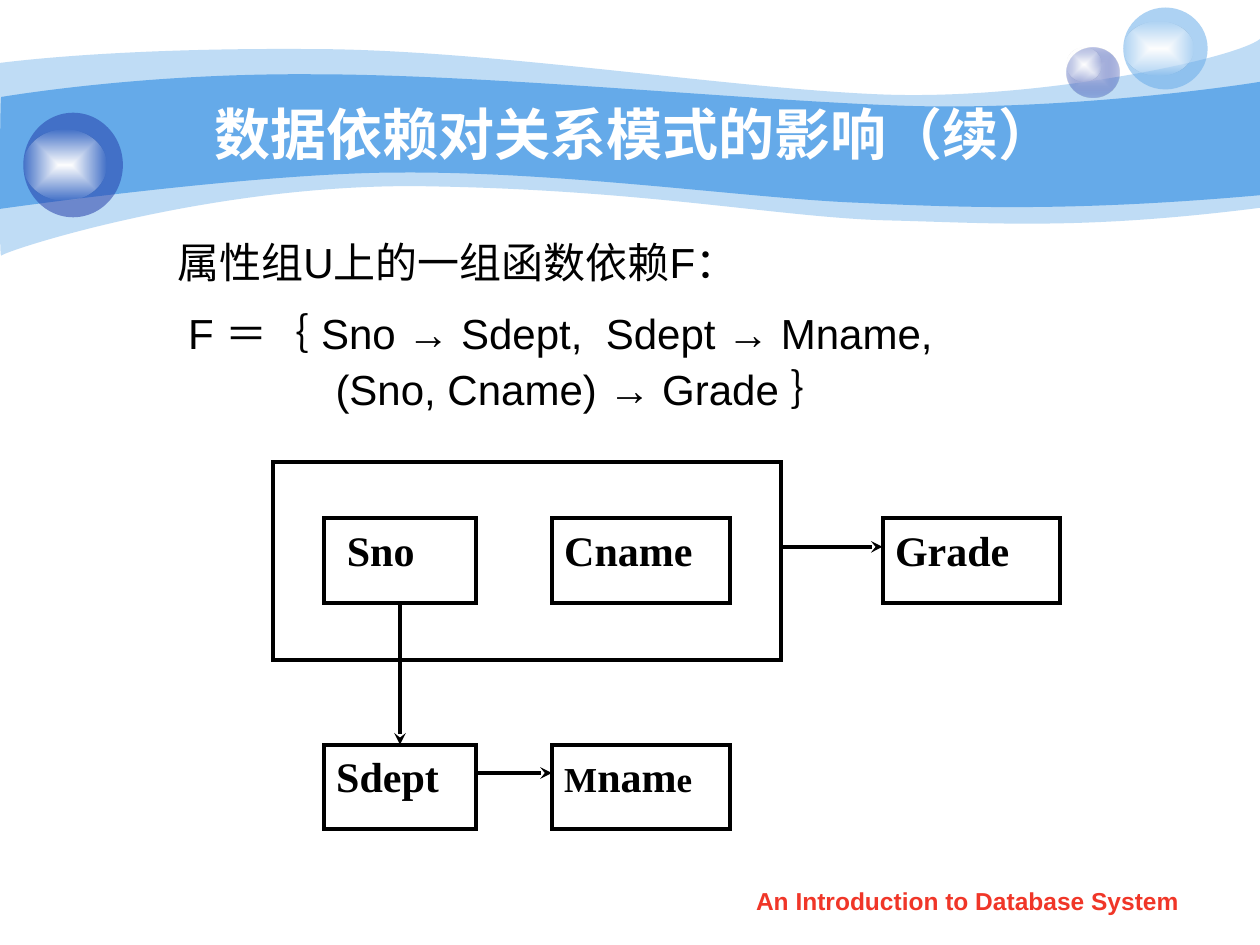
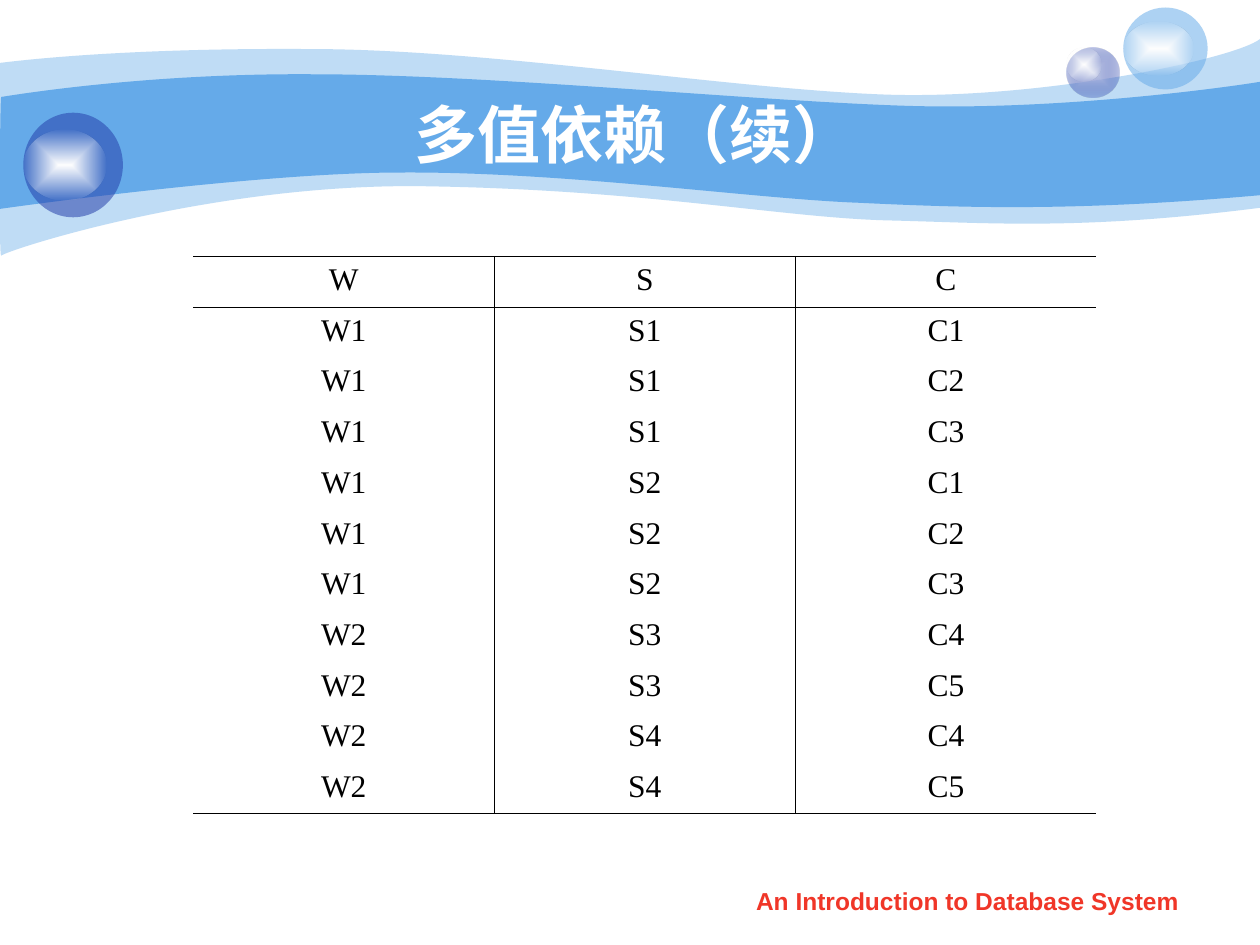
from dataclasses import dataclass
from typing import NamedTuple

from lxml.etree import SubElement
from pptx import Presentation
from pptx.dml.color import RGBColor
from pptx.enum.shapes import MSO_CONNECTOR as Connector, MSO_SHAPE as Preset
from pptx.enum.text import MSO_ANCHOR as Anchor, MSO_AUTO_SIZE as AutoSize, PP_ALIGN as Align
from pptx.oxml import parse_xml
from pptx.oxml.ns import nsdecls, qn
from pptx.util import Emu, Inches, Pt


# Theme and grid: the slide is 100 columns by 75 rows of square cells
@dataclass(frozen=True)
class Theme:
    sky: str = "65AAE9"
    navy: str = "233DA9"
    lilac: str = "C7CEE9"
    white: str = "FFFFFF"
    ink: str = "000000"
    red: str = "F03628"
    sans: str = "Arial"
    serif: str = "Times New Roman"
    body_size: float = 24
    small_size: float = 20
    table_size: float = 18
    footer_size: float = 14
    diagram_line: float = 2.25
    table_line: float = 0.45


THEME = Theme()
COLUMNS, ROWS = 100, 75
CELL = Inches(0.1)
FOOTER = "An Introduction to Database System"


class Place(NamedTuple):
    left: float
    top: float
    width: float
    height: float


class Stop(NamedTuple):
    position: int
    color: str
    alpha: int = 100


@dataclass(frozen=True)
class Disc:
    place: Place
    stops: tuple[Stop, ...]


@dataclass(frozen=True)
class Wave:
    start: tuple[float, float]
    segments: tuple[tuple[float, ...], ...]  # one point is a line, three are a curve
    stop: Stop


@dataclass(frozen=True)
class Box:
    place: Place
    pieces: tuple[tuple[str, float], ...] = ()
    indent: float = 0


@dataclass(frozen=True)
class Line:
    pieces: tuple[str, ...]
    indent: float
    before: float = 0
    spacing: float = 1


# Shared background
GLOW = (Stop(0, THEME.white), Stop(100, THEME.white, 0))
WAVES = (
    Wave((0, 5), (
        (2.4, 4.7, 10.7, 3.8, 24.7, 3.9), (38.6, 3.9, 57.5, 7, 69.9, 7.5),
        (82.2, 8, 98, 4.7, 100, 3.1), (100, 16.5),
        (85.8, 18.3, 78.7, 17.7, 70.5, 17.5), (62.2, 17.3, 51.5, 15.1, 34.3, 14.8),
        (17.2, 14.4, 0.4, 19.9, 0.1, 20.3), (-0.1, 20.8, 0, 7.5, 0, 5),
    ), Stop(0, THEME.sky, 41)),
    Wave((0.1, 7.7), (
        (0.2, 7.7, 11, 5.8, 24.8, 5.9), (38.6, 5.9, 59.5, 8, 71.8, 8.4),
        (84.1, 8.8, 97.6, 6.9, 100, 6.5), (100, 15.5),
        (85.3, 16.8, 76.5, 16.5, 68.2, 16.1), (59.9, 15.8, 44.7, 13.6, 31.7, 13.7),
        (20.3, 13.7, -0.2, 16.6, -0.1, 16.6), (0, 16.6, 0, 7.7, 0.1, 7.7),
    ), Stop(0, THEME.sky)),
)
DISCS = (
    Disc(Place(84.65, 3.75, 4.2, 4), (Stop(0, THEME.lilac), Stop(100, THEME.navy, 31))),
    Disc(Place(84.65, 3.75, 2.8, 2.7), GLOW),
    Disc(Place(89.15, 0.6, 6.7, 6.5), (Stop(0, THEME.sky, 53),)),
    Disc(Place(89.15, 1.7, 5.6, 4.3), GLOW),
    Disc(Place(1.85, 8.95, 7.9, 8.3), (Stop(0, THEME.navy, 53),)),
    Disc(Place(1.85, 10.3, 6.6, 5.6), GLOW),
)
TITLE_PLACE = Place(10, 7.5, 80.8, 6.2)
FOOTER_PLACE = Place(57.1, 69.8, 39.4, 3.5)

# Dependency slide
FORMULA_PLACE = Place(10.8, 18.3, 85, 45)
WIDE_SPACE = " "
WIDE_SPACE_EXTRA = 667  # hundredths of a point
FORMULA = (
    Line(("属性组U上的一组函数依赖F：",), 2.3),
    Line(("F ＝｛ Sno → Sdept,", WIDE_SPACE, "Sdept → Mname,"), 3.15, 6, 1.2),
    Line(("(Sno, Cname) → Grade ｝",), 14.85, 3),
)
KEY_COLUMN, NAME_COLUMN, GRADE_COLUMN = (25.7, 12.1), (43.8, 14.15), (70.05, 14.1)
UPPER_ROW, LOWER_ROW, BOX_HEIGHT = 41.15, 59.1, 6.7
FRAME = Place(21.7, 36.7, 40.3, 15.7)
PORT = 2.25  # arrows leave this far below the top of a box


def box(column: tuple[float, float], row: float, *pieces: tuple[str, float],
        indent: float = 0) -> Box:
    return Box(Place(column[0], row, column[1], BOX_HEIGHT), pieces, indent)


BOXES = (
    Box(FRAME),
    box(KEY_COLUMN, UPPER_ROW, ("Sno", THEME.body_size), indent=0.83),
    box(NAME_COLUMN, UPPER_ROW, ("Cname", THEME.body_size)),
    box(KEY_COLUMN, LOWER_ROW, ("Sdept", THEME.body_size)),
    box(NAME_COLUMN, LOWER_ROW, ("M", THEME.small_size), ("nam", THEME.body_size),
        ("e", THEME.small_size)),
    box(GRADE_COLUMN, UPPER_ROW, ("Grade", THEME.body_size)),
)
KEY_CENTER = KEY_COLUMN[0] + KEY_COLUMN[1] / 2
ARROWS = (
    (KEY_CENTER, UPPER_ROW + BOX_HEIGHT, KEY_CENTER, LOWER_ROW),
    (sum(KEY_COLUMN), LOWER_ROW + PORT, NAME_COLUMN[0], LOWER_ROW + PORT),
    (FRAME.left + FRAME.width, UPPER_ROW + PORT, GRADE_COLUMN[0], UPPER_ROW + PORT),
)

# Multivalued slide: each W takes every pairing of its S and C values
TABLE_PLACE = Place(15.33, 20.33, 71.7, 44.3)
HEADER = ("W", "S", "C")
GROUPS = (("W1", ("S1", "S2"), ("C1", "C2", "C3")), ("W2", ("S3", "S4"), ("C4", "C5")))


# Helpers
def cells(*lengths: float) -> tuple[Emu, ...]:
    return tuple(Emu(round(length * CELL)) for length in lengths)


def set_font(paragraph, name: str, size: float, color: str, bold: bool = False) -> None:
    font = paragraph.font
    font.name, font.size, font.bold = name, Pt(size), bold
    font.color.rgb = RGBColor.from_string(color)
    properties = paragraph._p.find(".//" + qn("a:defRPr"))
    SubElement(properties, qn("a:ea")).set("typeface", name)


def paint(shape, stops: tuple[Stop, ...]) -> None:
    """Fill with one translucent colour, or a gradient from the centre outwards."""
    colors = [f'<a:srgbClr val="{stop.color}"><a:alpha val="{stop.alpha * 1000}"/></a:srgbClr>'
              for stop in stops]
    if len(stops) == 1:
        xml = f'<a:solidFill {nsdecls("a")}>{colors[0]}</a:solidFill>'
    else:
        marks = "".join(f'<a:gs pos="{stop.position * 1000}">{color}</a:gs>'
                        for stop, color in zip(stops, colors))
        xml = (f'<a:gradFill {nsdecls("a")} rotWithShape="1"><a:gsLst>{marks}</a:gsLst>'
               '<a:path path="rect"><a:fillToRect l="50000" t="50000" r="50000" b="50000"/>'
               '</a:path></a:gradFill>')
    shape.fill.background()
    properties = shape.element.spPr
    properties.replace(properties.find(qn("a:noFill")), parse_xml(xml))
    shape.line.fill.background()
    shape.shadow.inherit = False


def add_wave(slide, wave: Wave):
    """Lay out every control point, then join each three into one curve."""
    points = [cells(*segment[index:index + 2])
              for segment in wave.segments for index in range(0, len(segment), 2)]
    builder = slide.shapes.build_freeform(*cells(*wave.start))
    builder.add_line_segments(points, close=True)
    shape = builder.convert_to_shape()
    lines = iter(list(shape.element.iter(qn("a:lnTo"))))
    for segment in wave.segments:
        first, *others = [next(lines) for _ in range(len(segment) // 2)]
        if others:
            first.tag = qn("a:cubicBezTo")
            for line in others:
                first.append(line[0])
                line.getparent().remove(line)
    paint(shape, (wave.stop,))
    return shape


def add_disc(slide, disc: Disc):
    shape = slide.shapes.add_shape(Preset.OVAL, *cells(*disc.place))
    paint(shape, disc.stops)
    return shape


def add_background(slide, layout) -> None:
    """Draw the waves and discs, then move them to the back of the layout."""
    drawn = [add_wave(slide, wave) for wave in WAVES] + [add_disc(slide, disc) for disc in DISCS]
    for index, shape in enumerate(drawn, start=2):
        layout.shapes.element.insert(index, shape.element)


def add_title_and_footer(slide, text: str, size: float) -> None:
    title = slide.shapes.title
    title.left, title.top, title.width, title.height = cells(*TITLE_PLACE)
    frame = title.text_frame
    frame.text, frame.auto_size, frame.vertical_anchor = text, AutoSize.NONE, Anchor.MIDDLE
    frame.paragraphs[0].alignment = Align.CENTER
    set_font(frame.paragraphs[0], THEME.sans, size, THEME.white, bold=True)

    footer = slide.shapes.add_textbox(*cells(*FOOTER_PLACE)).text_frame
    footer.word_wrap, footer.text = True, FOOTER
    footer.paragraphs[0].alignment = Align.CENTER
    set_font(footer.paragraphs[0], THEME.sans, THEME.footer_size, THEME.red, bold=True)


def add_formula(slide) -> None:
    frame = slide.shapes.add_textbox(*cells(*FORMULA_PLACE)).text_frame
    frame.word_wrap = True
    for index, line in enumerate(FORMULA):
        paragraph = frame.add_paragraph() if index else frame.paragraphs[0]
        paragraph.space_before, paragraph.line_spacing = Pt(line.before), line.spacing
        set_font(paragraph, THEME.sans, THEME.body_size, THEME.ink)
        paragraph._p.pPr.set("marL", str(cells(line.indent)[0]))
        for piece in line.pieces:
            run = paragraph.add_run()
            run.text = piece
            if piece == WIDE_SPACE:
                run._r.get_or_add_rPr().set("spc", str(WIDE_SPACE_EXTRA))


def style_line(line) -> None:
    line.color.rgb = RGBColor.from_string(THEME.ink)
    line.width = Pt(THEME.diagram_line)
    SubElement(line._get_or_add_ln(), qn("a:miter")).set("lim", "800000")


def add_box(slide, item: Box) -> None:
    shape = slide.shapes.add_shape(Preset.RECTANGLE, *cells(*item.place))
    shape.shadow.inherit = False
    shape.fill.background()
    style_line(shape.line)
    frame = shape.text_frame
    frame.vertical_anchor = Anchor.TOP
    frame.margin_left = cells(1 + item.indent)[0]
    paragraph = frame.paragraphs[0]
    paragraph.alignment = Align.JUSTIFY
    set_font(paragraph, THEME.serif, THEME.body_size, THEME.ink, bold=True)
    for text, size in item.pieces:
        run = paragraph.add_run()
        run.text = text
        if size != THEME.body_size:
            run.font.size = Pt(size)


def add_arrow(slide, ends: tuple[float, ...]) -> None:
    arrow = slide.shapes.add_connector(Connector.STRAIGHT, *cells(*ends))
    style_line(arrow.line)
    SubElement(arrow.line._get_or_add_ln(), qn("a:tailEnd")).set("type", "stealth")
    SubElement(arrow.element.spPr, qn("a:effectLst"))


def set_borders(cell, sides: str) -> None:
    properties = cell._tc.get_or_add_tcPr()
    for index, side in enumerate("LRTB"):
        fill = (f'<a:solidFill><a:srgbClr val="{THEME.ink}"/></a:solidFill>'
                if side in sides else "<a:noFill/>")
        properties.insert(index, parse_xml(
            f'<a:ln{side} {nsdecls("a")} w="{Pt(THEME.table_line)}">{fill}</a:ln{side}>'))


def add_value_table(slide) -> None:
    rows = [HEADER] + [(w, s, c) for w, s_values, c_values in GROUPS
                       for s in s_values for c in c_values]
    table = slide.shapes.add_table(len(rows), len(HEADER), *cells(*TABLE_PLACE)).table
    table.first_row = table.horz_banding = False
    for row, values in enumerate(rows):
        for column, value in enumerate(values):
            cell = table.cell(row, column)
            cell.text = value
            cell.fill.background()
            set_borders(cell, ("L" if column else "")
                        + ("R" if column < len(HEADER) - 1 else "")
                        + ("T" if row < 2 else "")
                        + ("B" if row in (0, len(rows) - 1) else ""))
            paragraph = cell.text_frame.paragraphs[0]
            paragraph.alignment = Align.CENTER
            set_font(paragraph, THEME.serif, THEME.table_size, THEME.ink)


def main() -> None:
    presentation = Presentation()
    presentation.slide_width, presentation.slide_height = cells(COLUMNS, ROWS)
    layout = presentation.slide_layouts.get_by_name("Title Only")

    # Slide 1: functional dependencies
    dependency_slide = presentation.slides.add_slide(layout)
    add_background(dependency_slide, layout)
    add_title_and_footer(dependency_slide, "数据依赖对关系模式的影响（续）", 32)
    add_formula(dependency_slide)
    for item in BOXES:
        add_box(dependency_slide, item)
    for ends in ARROWS:
        add_arrow(dependency_slide, ends)

    # Slide 2: multivalued dependencies
    multivalued_slide = presentation.slides.add_slide(layout)
    add_title_and_footer(multivalued_slide, "多值依赖（续）", 36)
    add_value_table(multivalued_slide)

    presentation.save("out.pptx")


if __name__ == "__main__":
    main()
